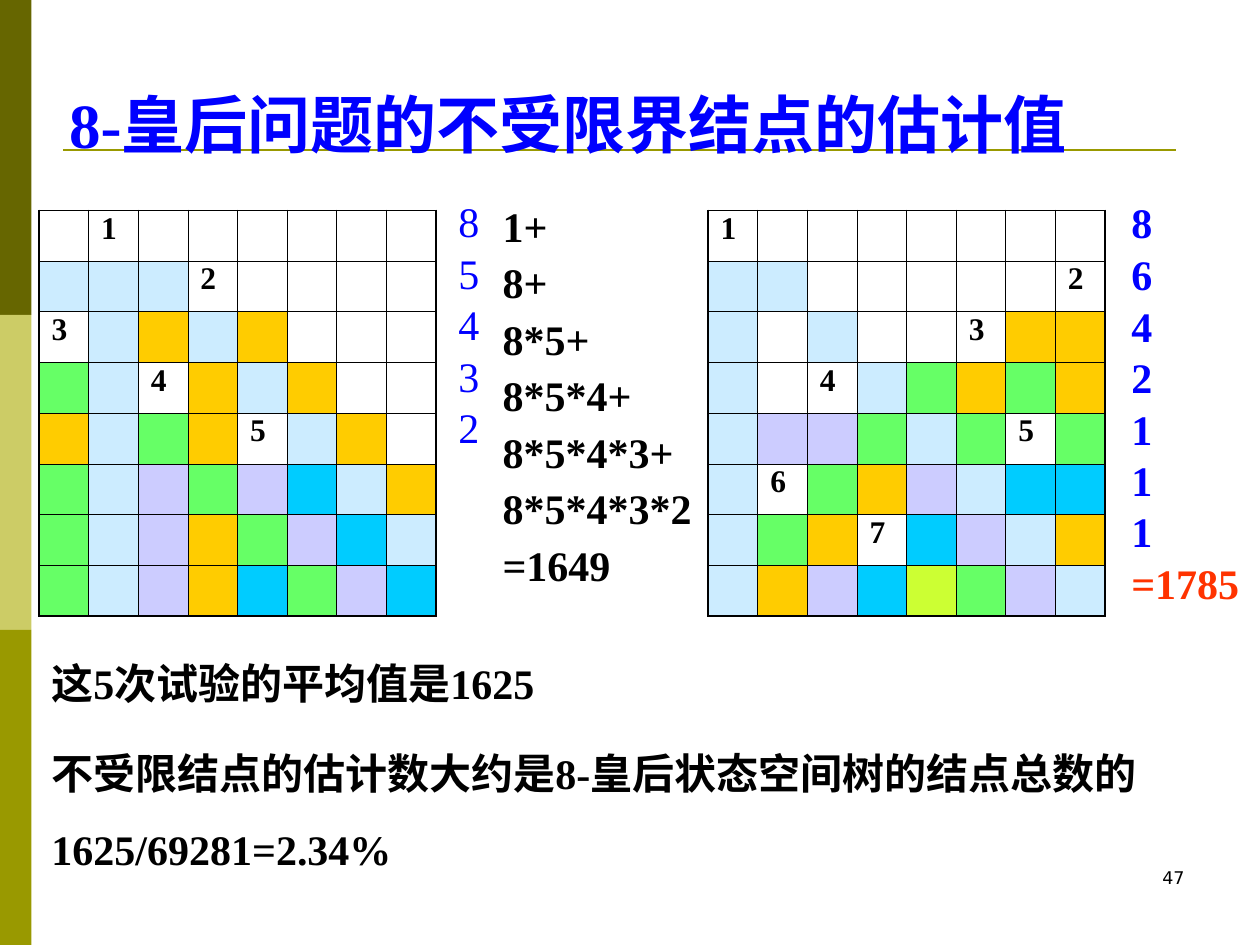
from lxml import etree
from pptx import Presentation
from pptx.dml.color import RGBColor
from pptx.enum.shapes import MSO_CONNECTOR, MSO_SHAPE
from pptx.enum.text import MSO_ANCHOR, MSO_AUTO_SIZE, PP_ALIGN
from pptx.oxml import parse_xml
from pptx.oxml.ns import nsdecls, qn
from pptx.util import Inches, Pt

COLORS = {
    "black": "000000", "blue": "0000FF", "red": "FF3300",
    "dark_olive": "666600", "pale_olive": "CCCC66", "olive": "999900",
    "b": "CCECFF", "o": "FFCC00", "g": "66FF66",
    "p": "CCCCFF", "c": "00CCFF", "y": "CCFF33",
}
SERIF = "Times New Roman"
TITLE = {"name": SERIF, "size": Pt(36), "bold": True}
BODY = {"name": SERIF, "size": Pt(24), "bold": True}
PLAIN = {"name": SERIF, "size": Pt(24), "bold": False}
QUEEN = {"name": SERIF, "size": Pt(18), "bold": True}
PAGE = {"name": "DejaVu Sans", "size": Pt(10)}

FIRST_TRIAL = [
    ".1......",
    "bbb2....",
    "3bobo...",
    "gb4obo..",
    "obgo5bo.",
    "gbpgpcbo",
    "gbpogpcb",
    "gbpocgpc",
]
SECOND_TRIAL = [
    "1.......",
    "bb.....2",
    "b.b..3oo",
    "b.4bgogo",
    "bppgbg5g",
    "b6gopbcc",
    "bgo7cpbo",
    "bopcygpb",
]
BOARD_WIDTH, BOARD_HEIGHT = 3.15, 3.22


def rgb(color):
    return RGBColor.from_string(COLORS[color])


def style(target, values):
    for name, value in values.items():
        setattr(target, name, value)


def write(paragraph, text, font, color="black", **layout):
    style(paragraph, layout)
    run = paragraph.add_run()
    run.text = text
    style(run.font, font)
    run.font.color.rgb = rgb(color)


def add_text(slide, box, lines, font, color="black", spacing=1.0, **frame_format):
    frame = slide.shapes.add_textbox(*map(Inches, box)).text_frame
    style(frame, {"word_wrap": True, **frame_format})
    for index, line in enumerate(lines):
        paragraph = frame.add_paragraph() if index else frame.paragraphs[0]
        write(paragraph, line, font, color,
              line_spacing=spacing, space_before=Pt(15 if index else 0))
    return frame


def add_band(slide, index, color):
    band = slide.shapes.add_shape(
        MSO_SHAPE.RECTANGLE, 0, Inches(2.5 * index), Inches(0.25), Inches(2.5))
    band.shadow.inherit = False
    band.fill.solid()
    band.fill.fore_color.rgb = rgb(color)
    band.line.fill.background()


def add_title_rule(slide):
    rule = slide.shapes.add_connector(
        MSO_CONNECTOR.STRAIGHT, Inches(0.5), Inches(1.19), Inches(9.33), Inches(1.19))
    rule.line.color.rgb = rgb("olive")
    rule.line.width = Pt(1.5)
    etree.SubElement(rule._element.spPr, qn("a:effectLst"))


def add_borders(cell, outer_sides):
    properties = cell._tc.get_or_add_tcPr()
    for side, is_outer in outer_sides.items():
        width = Pt(1.08 if is_outer else 0.45)
        properties.append(parse_xml(
            f'<a:ln{side} {nsdecls("a")} w="{width}"><a:solidFill>'
            f'<a:srgbClr val="{COLORS["black"]}"/></a:solidFill></a:ln{side}>'))


def add_board(slide, left, squares):
    count = len(squares)
    board = slide.shapes.add_table(
        count, count, Inches(left), Inches(1.67),
        Inches(BOARD_WIDTH), Inches(BOARD_HEIGHT)).table
    style(board, {"first_row": False, "horz_banding": False})
    last = count - 1
    for r, row in enumerate(squares):
        for c, square in enumerate(row):
            cell = board.cell(r, c)
            add_borders(cell, {"L": c == 0, "R": c == last, "T": r == 0, "B": r == last})
            if square in COLORS:
                cell.fill.solid()
                cell.fill.fore_color.rgb = rgb(square)
            else:
                cell.fill.background()
            if square.isdigit():
                write(cell.text_frame.paragraphs[0], square, QUEEN, line_spacing=0.8)
            else:
                style(cell, {"margin_top": 0, "margin_bottom": 0})


def main():
    deck = Presentation()
    style(deck, {"slide_width": Inches(10), "slide_height": Inches(7.5)})
    slide = deck.slides.add_slide(deck.slide_layouts[6])

    for index, color in enumerate(["dark_olive", "pale_olive", "olive"]):
        add_band(slide, index, color)
    add_title_rule(slide)

    page = add_text(slide, (7.17, 6.83, 2.33, 0.5), ["47"], PAGE)
    page.paragraphs[0].alignment = PP_ALIGN.RIGHT

    grow = {"auto_size": MSO_AUTO_SIZE.SHAPE_TO_FIT_TEXT}
    add_board(slide, 0.31, FIRST_TRIAL)
    add_text(slide, (3.54, 1.68, 0.51, 1.94), "85432", PLAIN, "blue", 0.5, **grow)
    add_text(slide, (3.89, 1.68, 2.01, 3.03),
             ["1+", "8+", "8*5+", "8*5*4+", "8*5*4*3+", "8*5*4*3*2", "=1649"],
             BODY, spacing=0.6, **grow)

    add_board(slide, 5.62, SECOND_TRIAL)
    branches = add_text(slide, (8.88, 1.65, 1.28, 3.2), [*"8642111", "=1785"],
                        BODY, "blue", 0.5, **grow)
    branches.paragraphs[0].line_spacing = 0.6
    branches.paragraphs[-1].runs[0].font.color.rgb = rgb("red")

    add_text(slide, (0.31, 5.17, 5.59, 0.5), ["这5次试验的平均值是1625"], BODY, **grow)
    add_text(slide, (0.31, 5.88, 9.43, 1.11),
             ["不受限结点的估计数大约是8-皇后状态空间树的结点总数的", "1625/69281=2.34%"],
             BODY, **grow)
    add_text(slide, (0.45, 0.52, 9, 0.92), ["8-皇后问题的不受限界结点的估计值"],
             TITLE, "blue", vertical_anchor=MSO_ANCHOR.MIDDLE)

    deck.save("out.pptx")


if __name__ == "__main__":
    main()
